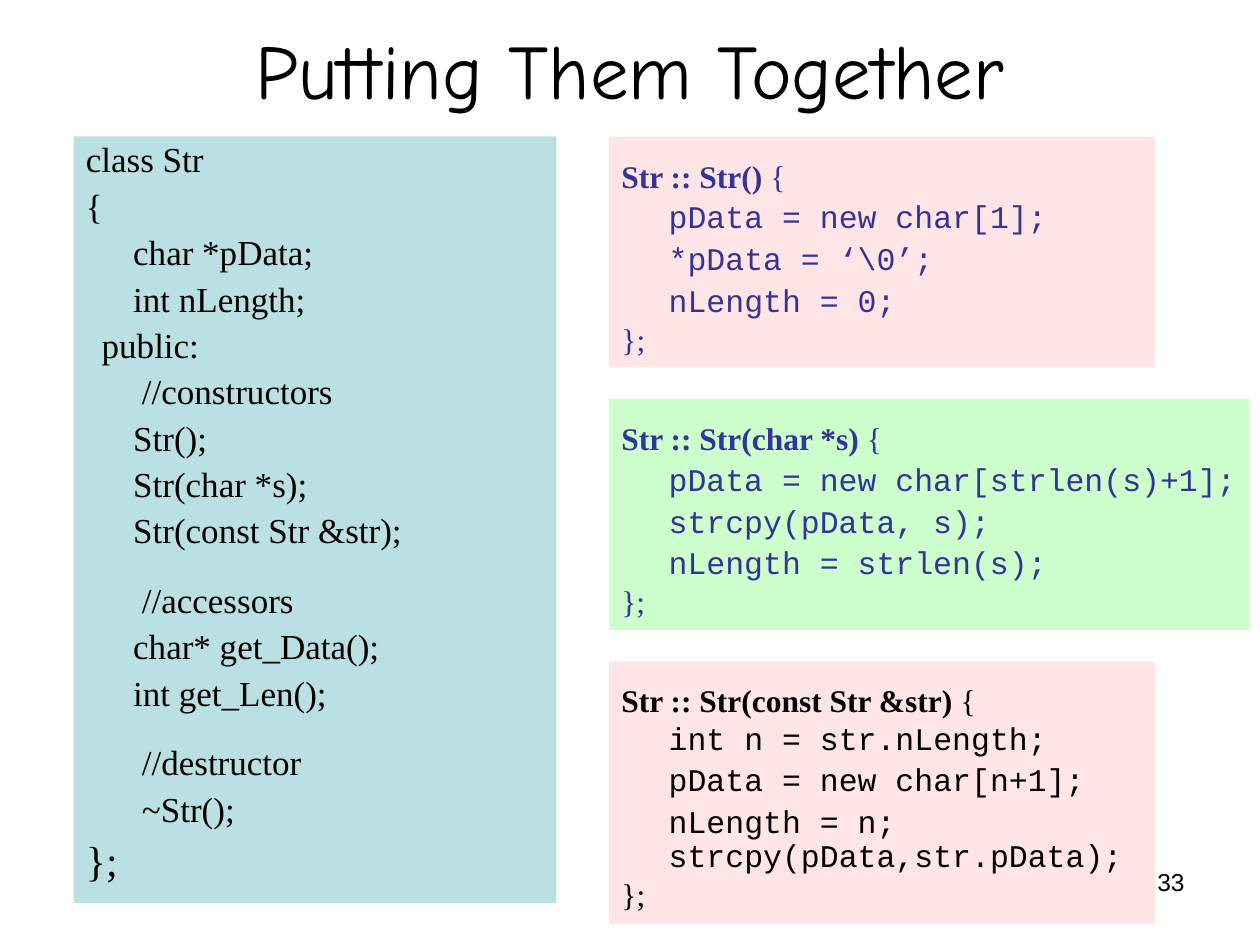
from pptx import Presentation
from pptx.dml.color import RGBColor
from pptx.enum.shapes import MSO_SHAPE
from pptx.enum.text import MSO_ANCHOR, PP_ALIGN
from pptx.util import Pt

RECT = MSO_SHAPE.RECTANGLE
TOP, MIDDLE = MSO_ANCHOR.TOP, MSO_ANCHOR.MIDDLE
LEFT, CENTER, RIGHT = PP_ALIGN.LEFT, PP_ALIGN.CENTER, PP_ALIGN.RIGHT

THEME = {
    "title": ("Comic Neue", 44), "number": ("Arial", 14),
    "class": ("Times New Roman", 20), "class_end": ("Times New Roman", 24),
    "text": ("Times New Roman", 18), "code": ("Courier New", 18),
    "black": "000000", "navy": "333399",
    "teal": "BBE0E3", "pink": "FFE5E5", "green": "CCFFCC",
}
INDENT = 27  # code inside braces
LABEL = 9  # access label
COMMENT = 32
SPACE_RATIO = 0.245  # space before a line, relative to its type size
GROUP_GAP = 13.2  # extra space before a new group of members

# Content
TITLE = "Putting Them Together"
NUMBER = "33"
# Groups of (indent, line)
CLASS_GROUPS = [
    [(0, "class Str"), (0, "{"), (INDENT, "char *pData;"),
     (INDENT, "int nLength;"), (LABEL, "public:"),
     (COMMENT, "//constructors"), (INDENT, "Str();"),
     (INDENT, "Str(char *s);"), (INDENT, "Str(const Str &str);")],
    [(COMMENT, "//accessors"), (INDENT, "char* get_Data();"),
     (INDENT, "int get_Len();")],
    [(COMMENT, "//destructor"), (COMMENT, "~Str();")],
]
# Signature, (line, line spacing) pairs, width, height, fill, text colour
FUNCTIONS = [
    ("Str :: Str()",
     [("pData = new char[1];", 0.9), ("*pData = ‘\\0’;", 0.9),
      ("nLength = 0;", 0.9)],
     312, 132, "pink", "navy"),
    ("Str :: Str(char *s)",
     [("pData = new char[strlen(s)+1];", 0.9), ("strcpy(pData, s);", 0.9),
      ("nLength = strlen(s);", 0.9)],
     366, 132, "green", "navy"),
    ("Str :: Str(const Str &str)",
     [("int n = str.nLength;", 0.8), ("pData = new char[n+1];", 0.9),
      ("nLength = n; strcpy(pData,str.pData);", 0.9)],
     312, 150, "pink", "black"),
]
# Layout
BOX_TOP, CLASS_LEFT, FUNCTION_LEFT, FUNCTION_GAP = 78, 42, 348, 18


def rgb(name):
    return RGBColor.from_string(THEME[name])


def style_run(r, style, color="black", bold=False):
    name, size = THEME[style]
    r.font.name, r.font.size, r.font.bold = name, Pt(size), bold
    r.font.color.rgb = rgb(color)


def add_label(s, text, style, box, align, anchor):
    tf = s.shapes.add_textbox(*map(Pt, box)).text_frame
    tf.word_wrap = True
    tf.vertical_anchor = anchor
    tf.text = text
    tf.paragraphs[0].alignment = align
    style_run(tf.paragraphs[0].runs[0], style)


def add_panel(s, box, fill, top_inset=3.6):
    sp = s.shapes.add_shape(RECT, *map(Pt, box))
    sp.shadow.inherit = False
    sp.fill.solid()
    sp.fill.fore_color.rgb = rgb(fill)
    sp.line.fill.background()
    tf = sp.text_frame
    tf.word_wrap = True
    tf.vertical_anchor = TOP
    tf.margin_top = Pt(top_inset)
    return tf


def add_line(tf, text, style, color="black", indent=0, spacing=0.9,
             extra=0, bold=False):
    first = not tf.text
    p = tf.paragraphs[0] if first else tf.add_paragraph()
    p.text = text
    p.alignment = LEFT
    p.line_spacing = spacing
    before = 0 if first else THEME[style][1] * SPACE_RATIO + extra
    p.space_before = Pt(round(before, 1))
    p._p.get_or_add_pPr().set("marL", str(Pt(indent)))
    style_run(p.runs[0], style, color, bold)
    return p


prs = Presentation()
prs.slide_width, prs.slide_height = Pt(720), Pt(540)
s = prs.slides.add_slide(prs.slide_layouts[6])

# Slide number and title
add_label(s, NUMBER, "number", (516, 492, 168, 37.5), RIGHT, TOP)
add_label(s, TITLE, "title", (0, 12, 720, 54), CENTER, MIDDLE)

# Class declaration
tf = add_panel(s, (CLASS_LEFT, BOX_TOP, 276, 438), "teal")
for g, group in enumerate(CLASS_GROUPS):
    for i, (indent, line) in enumerate(group):
        extra = GROUP_GAP if g and i == 0 else 0
        add_line(tf, line, "class", indent=indent, extra=extra)
add_line(tf, "};", "class_end")

# Constructor definitions, stacked at equal gaps
top = BOX_TOP
for signature, body, width, height, fill, color in FUNCTIONS:
    tf = add_panel(s, (FUNCTION_LEFT, top, width, height), fill, 15.6)
    p = add_line(tf, signature, "text", color, spacing=0.8, bold=True)
    r = p.add_run()
    r.text = " {"
    style_run(r, "text", color)
    for line, spacing in body:
        add_line(tf, line, "code", color, INDENT, spacing)
    add_line(tf, "};", "text", color, spacing=0.8)
    top += height + FUNCTION_GAP

prs.save("out.pptx")
